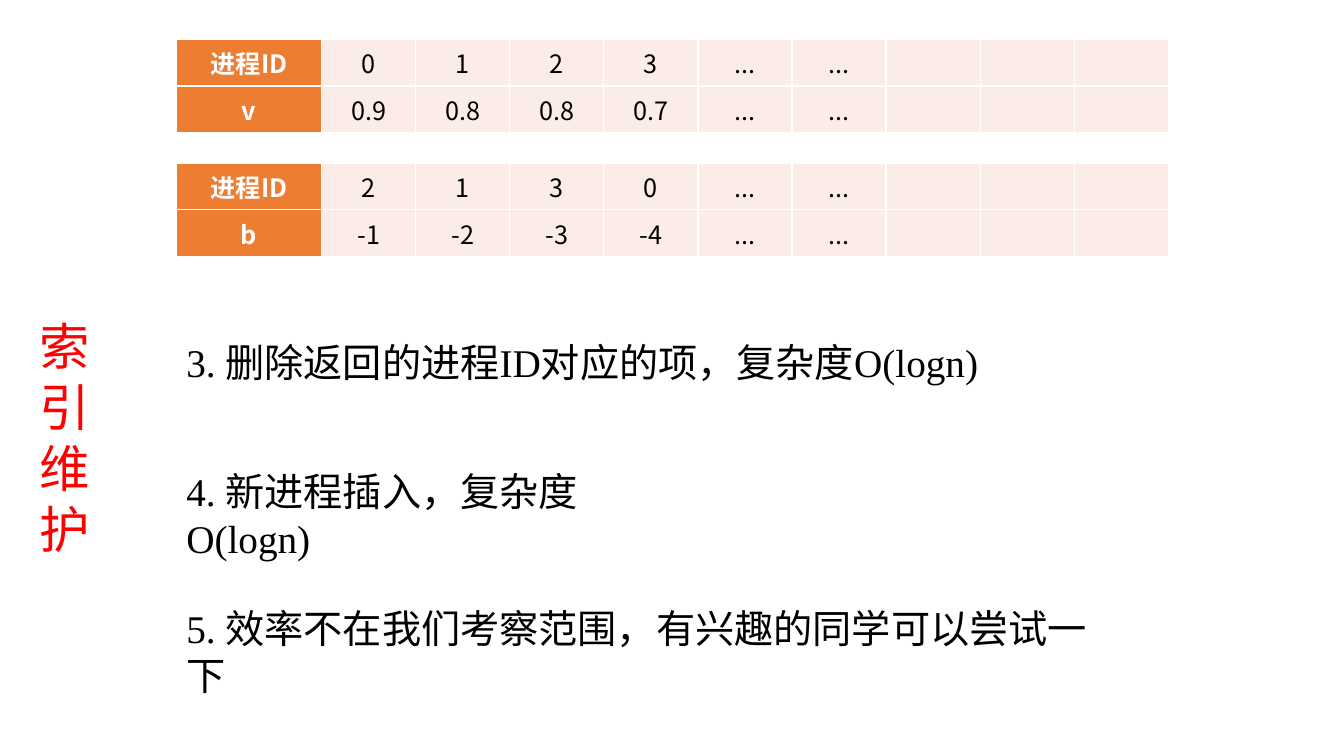
from dataclasses import dataclass

from lxml.etree import SubElement
from pptx import Presentation
from pptx.dml.color import RGBColor
from pptx.enum.text import MSO_ANCHOR, MSO_AUTO_SIZE, PP_ALIGN
from pptx.oxml.ns import qn
from pptx.util import Inches, Pt


@dataclass(frozen=True)
class Theme:
    header_fill: str = "ED7D31"
    cell_fill: str = "FCECE8"
    white: str = "FFFFFF"
    black: str = "000000"
    red: str = "FF0000"
    east_asian_font: str = "Noto Sans CJK SC"
    body_font: str = "Times New Roman"
    table_size: int = 18
    body_size: int = 28
    title_size: int = 36


THEME = Theme()
LINE_PITCH = 1.21
LEFT = 1.75
COLUMN_COUNT = 10
HEADER_WIDTH = 1.44
TABLE_WIDTH = 9.84
ROW_HEIGHT = 0.42

INDEX_TABLES = [
    (0.39, [["进程ID", "0", "1", "2", "3", "...", "..."],
            ["v", "0.9", "0.8", "0.8", "0.7", "...", "..."]]),
    (1.62, [["进程ID", "2", "1", "3", "0", "...", "..."],
            ["b", "-1", "-2", "-3", "-4", "...", "..."]]),
]
STEPS = [
    (3.3, 8.1, "3. 删除返回的进程ID对应的项，复杂度O(logn)"),
    (4.58, 5.3, "4. 新进程插入，复杂度O(logn)"),
    (5.94, 9.5, "5. 效率不在我们考察范围，有兴趣的同学可以尝试一下"),
]


def format_font(font, name, size, color, bold=False):
    font.name = name
    font.size = Pt(size)
    font.bold = bold
    font.color.rgb = RGBColor.from_string(color)
    properties = font._element
    SubElement(properties, qn("a:ea")).set("typeface", THEME.east_asian_font)


def add_borders(cell):
    """Draw a thin white line on all four sides; call before filling the cell."""
    properties = cell._tc.get_or_add_tcPr()
    for side in ("a:lnL", "a:lnR", "a:lnT", "a:lnB"):
        line = SubElement(properties, qn(side), w=str(Pt(1)))
        fill = SubElement(line, qn("a:solidFill"))
        SubElement(fill, qn("a:srgbClr"), val=THEME.white)


def format_cell(cell, text, is_header):
    add_borders(cell)
    cell.fill.solid()
    fill = THEME.header_fill if is_header else THEME.cell_fill
    cell.fill.fore_color.rgb = RGBColor.from_string(fill)
    paragraph = cell.text_frame.paragraphs[0]
    paragraph.text = text
    paragraph.alignment = PP_ALIGN.CENTER
    color = THEME.white if is_header else THEME.black
    for run in paragraph.runs:
        format_font(run.font, THEME.east_asian_font, THEME.table_size, color, is_header)


def add_index_table(slide, top, rows):
    table = slide.shapes.add_table(
        len(rows), COLUMN_COUNT, Inches(LEFT), Inches(top),
        Inches(TABLE_WIDTH), Inches(ROW_HEIGHT * len(rows))).table
    value_width = (TABLE_WIDTH - HEADER_WIDTH) / (COLUMN_COUNT - 1)
    for index, column in enumerate(table.columns):
        column.width = Inches(value_width if index else HEADER_WIDTH)
    for row_index, values in enumerate(rows):
        table.rows[row_index].height = Inches(ROW_HEIGHT)
        for index in range(COLUMN_COUNT):
            text = values[index] if index < len(values) else ""
            format_cell(table.cell(row_index, index), text, is_header=index == 0)


def fill_text(shape, text, font_name, size, color):
    text_frame = shape.text_frame
    text_frame.text = text
    text_frame.word_wrap = True
    text_frame.auto_size = MSO_AUTO_SIZE.NONE
    text_frame.vertical_anchor = MSO_ANCHOR.TOP
    paragraph = text_frame.paragraphs[0]
    paragraph.alignment = PP_ALIGN.LEFT
    paragraph.line_spacing = Pt(size * LINE_PITCH)
    format_font(paragraph.runs[0].font, font_name, size, color)


def set_title(slide, text):
    title = slide.shapes.title
    title.left, title.top = Inches(0.29), Inches(3.07)
    title.width, title.height = Inches(0.71), Inches(2.52)
    fill_text(title, text, THEME.east_asian_font, THEME.title_size, THEME.red)


def add_step(slide, top, width, text):
    box = slide.shapes.add_textbox(
        Inches(LEFT), Inches(top), Inches(width), Inches(0.57))
    fill_text(box, text, THEME.body_font, THEME.body_size, THEME.black)


def main():
    presentation = Presentation()
    presentation.slide_width = Inches(13.33)
    presentation.slide_height = Inches(7.5)
    title_only = presentation.slide_layouts.get_by_name("Title Only")
    slide = presentation.slides.add_slide(title_only)
    set_title(slide, "索引维护")
    for top, rows in INDEX_TABLES:
        add_index_table(slide, top, rows)
    for top, width, text in STEPS:
        add_step(slide, top, width, text)
    presentation.save("out.pptx")


if __name__ == "__main__":
    main()
